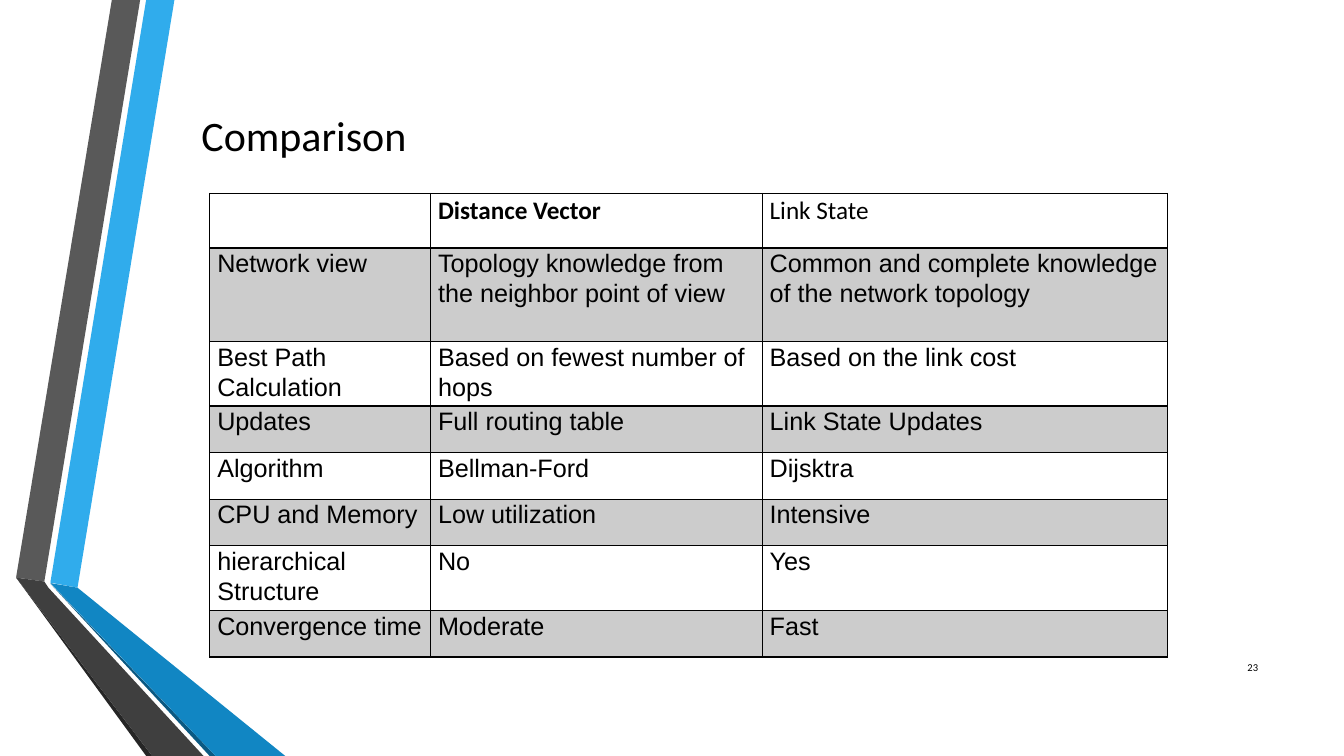
"""Builds a slide comparing distance vector and link state routing."""
from lxml.etree import SubElement
from pptx import Presentation
from pptx.dml.color import RGBColor
from pptx.enum.text import MSO_ANCHOR, PP_ALIGN
from pptx.oxml.ns import qn
from pptx.util import Pt

BLACK = RGBColor(0x00, 0x00, 0x00)
WHITE = RGBColor(0xFF, 0xFF, 0xFF)
BAND_GRAY = RGBColor(0xCC, 0xCC, 0xCC)
BLUE = RGBColor(0x30, 0xAC, 0xEC)
MID_BLUE = RGBColor(0x11, 0x86, 0xC3)
DARK_BLUE = RGBColor(0x0B, 0x59, 0x82)
GRAY = RGBColor(0x59, 0x59, 0x59)
MID_GRAY = RGBColor(0x3F, 0x3F, 0x3F)
DARK_GRAY = RGBColor(0x26, 0x26, 0x26)

RIBBONS = [
    (BLUE, [(36, 416.2), (55.4, 419.8), (124.6, 0), (104.4, 0)]),
    (GRAY, [(100.1, 0), (79.9, 0), (11.5, 412.6), (31.7, 415.4)]),
    (DARK_GRAY, [(11.5, 412.6), (104.4, 540), (108.7, 540)]),
    (DARK_BLUE, [(36, 416.9), (149.8, 540), (154.1, 540)]),
    (MID_BLUE, [(36, 416.5), (154.1, 540), (203.8, 540), (55.4, 419.8)]),
    (MID_GRAY, [(145.4, 540), (34.6, 419.8), (31.7, 415.4), (11.5, 412.6), (108.7, 540)]),
]
ROWS = [
    ("", "Distance Vector", "Link State"),
    ("Network view", "Topology knowledge from the neighbor point of view",
     "Common and complete knowledge of the network topology"),
    ("Best Path Calculation", "Based on fewest number of hops", "Based on the link cost"),
    ("Updates", "Full routing table", "Link State Updates"),
    ("Algorithm", "Bellman-Ford", "Dijsktra"),
    ("CPU and Memory", "Low utilization", "Intensive"),
    ("hierarchical Structure", "No", "Yes"),
    ("Convergence time", "Moderate", "Fast"),
]
COLUMN_WIDTHS = [157.7, 236.9, 289.4]
ROW_HEIGHTS = [39, 66.6] + [33.3] * 6


def add_text(paragraph, text, font_name, size, bold=False):
    run = paragraph.add_run()
    run.text = text
    run.font.name = font_name
    run.font.size = Pt(size)
    run.font.bold = bold
    run.font.color.rgb = BLACK


def set_borders(cell, widths):
    properties = cell._tc.get_or_add_tcPr()
    for side, width in zip("LRTB", widths):
        line = SubElement(properties, qn(f"a:ln{side}"), w=str(Pt(width)))
        fill = SubElement(line, qn("a:solidFill"))
        SubElement(fill, qn("a:srgbClr"), val=str(BLACK))


presentation = Presentation()
presentation.slide_width = Pt(960)
presentation.slide_height = Pt(540)
slide = presentation.slides.add_slide(presentation.slide_layouts[6])

for color, points in RIBBONS:
    vertices = [(Pt(x), Pt(y)) for x, y in points]
    builder = slide.shapes.build_freeform(*vertices[0])
    builder.add_line_segments(vertices[1:], close=True)
    ribbon = builder.convert_to_shape()
    ribbon.shadow.inherit = False
    ribbon.fill.solid()
    ribbon.fill.fore_color.rgb = color
    ribbon.line.fill.background()

for text, size, alignment, box in [
    ("Comparison", 30, PP_ALIGN.LEFT, (136.8, 54, 789.1, 84.2)),
    ("23", 7.5, PP_ALIGN.RIGHT, (862.6, 462.2, 43.2, 28.8)),
]:
    text_frame = slide.shapes.add_textbox(*[Pt(length) for length in box]).text_frame
    text_frame.word_wrap = True
    text_frame.vertical_anchor = MSO_ANCHOR.MIDDLE
    paragraph = text_frame.paragraphs[0]
    paragraph.alignment = alignment
    add_text(paragraph, text, "Calibri", size)

table = slide.shapes.add_table(
    len(ROWS), len(COLUMN_WIDTHS), Pt(149.8), Pt(138.2),
    Pt(sum(COLUMN_WIDTHS)), Pt(sum(ROW_HEIGHTS))).table
table.first_row = True
table.horz_banding = False
for column, width in zip(table.columns, COLUMN_WIDTHS):
    column.width = Pt(width)

for row_index, (texts, height) in enumerate(zip(ROWS, ROW_HEIGHTS)):
    table.rows[row_index].height = Pt(height)
    top = 2 if row_index == 1 else 1
    bottom = 2 if row_index == 0 else 1
    for column_index, text in enumerate(texts):
        cell = table.cell(row_index, column_index)
        cell.margin_left = cell.margin_right = Pt(5.4)
        cell.margin_top = cell.margin_bottom = Pt(0)
        set_borders(cell, (1, 1, top, bottom))
        cell.fill.solid()
        cell.fill.fore_color.rgb = BAND_GRAY if row_index % 2 else WHITE
        if text:
            paragraph = cell.text_frame.paragraphs[0]
            paragraph.line_spacing = 1.07
            add_text(paragraph, text, "Arial" if row_index else "Calibri", 18,
                     bold=text == "Distance Vector")

presentation.save("out.pptx")
